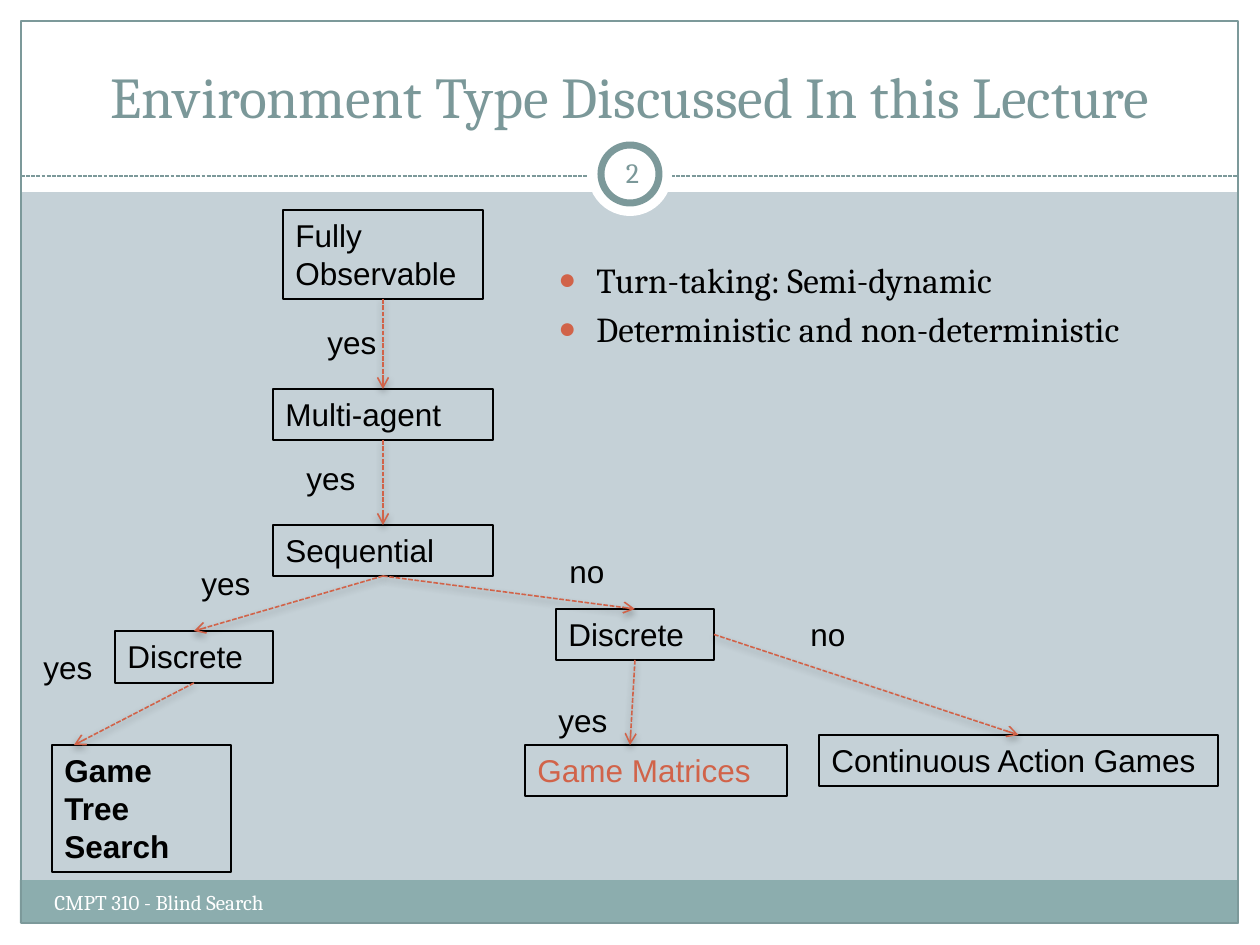
from dataclasses import dataclass

from lxml import etree
from pptx import Presentation
from pptx.dml.color import RGBColor
from pptx.enum.dml import MSO_LINE
from pptx.enum.shapes import MSO_CONNECTOR, MSO_SHAPE
from pptx.enum.text import MSO_ANCHOR, PP_ALIGN
from pptx.oxml import parse_xml
from pptx.oxml.ns import nsdecls, qn
from pptx.util import Emu, Pt

RECT, OVAL = MSO_SHAPE.RECTANGLE, MSO_SHAPE.OVAL
STRAIGHT = MSO_CONNECTOR.STRAIGHT
DASH = MSO_LINE.SQUARE_DOT
LEFT, CENTER = PP_ALIGN.LEFT, PP_ALIGN.CENTER
TOP, MIDDLE, BOTTOM = MSO_ANCHOR.TOP, MSO_ANCHOR.MIDDLE, MSO_ANCHOR.BOTTOM
TOP_SITE, BOTTOM_SITE, RIGHT_SITE = 0, 2, 3  # connection sites of a rectangle

PX_PER_INCH = 126
WIDTH, HEIGHT = 1260, 945


@dataclass(frozen=True)
class Theme:
    background: str = "C5D1D7"
    white: str = "FFFFFF"
    black: str = "000000"
    band: str = "8CADAE"
    rule: str = "7C999A"
    title: str = "7B9899"
    accent: str = "D16349"
    serif: str = "Cambria"
    sans: str = "Arial"
    title_size: int = 33
    body_size: int = 20
    node_size: int = 18
    number_size: int = 16
    footer_size: int = 12


THEME = Theme()

# key: (text, box, colour, bold)
NODES = {
    "observable": ("Fully Observable", (283, 210, 200, 89), THEME.black, False),
    "agents": ("Multi-agent", (273, 389, 220, 51), THEME.black, False),
    "sequential": ("Sequential", (273, 525, 220, 51), THEME.black, False),
    "discrete_yes": ("Discrete", (115, 631, 158, 52), THEME.black, False),
    "discrete_no": ("Discrete", (556, 609, 158, 51), THEME.black, False),
    "tree": ("Game Tree Search", (52, 745, 179, 127), THEME.black, True),
    "continuous": ("Continuous Action Games", (819, 735, 399, 51), THEME.black, False),
    "matrices": ("Game Matrices", (525, 745, 262, 51), THEME.accent, False),
}

# from, side it leaves, to, end x where the arrow misses the top centre
EDGES = [
    ("observable", BOTTOM_SITE, "agents", None),
    ("agents", BOTTOM_SITE, "sequential", None),
    ("sequential", BOTTOM_SITE, "discrete_yes", None),
    ("sequential", BOTTOM_SITE, "discrete_no", None),
    ("discrete_yes", BOTTOM_SITE, "tree", 74),
    ("discrete_no", BOTTOM_SITE, "matrices", 630),
    ("discrete_no", RIGHT_SITE, "continuous", None),
]

ANSWERS = [
    ("yes", 315, 317), ("yes", 294, 453), ("yes", 189, 558), ("yes", 31, 642),
    ("yes", 546, 695), ("no", 557, 546), ("no", 798, 609),
]


def px(n):
    return Emu(n * 914400 // PX_PER_INCH)


def rgb(color):
    return RGBColor.from_string(color)


def add_shape(s, kind, box, fill=None, line=None, weight=0.75):
    sp = s.shapes.add_shape(kind, *map(px, box))
    sp.shadow.inherit = False
    if fill:
        sp.fill.solid()
        sp.fill.fore_color.rgb = rgb(fill)
    else:
        sp.fill.background()
    if line:
        sp.line.color.rgb = rgb(line)
        sp.line.width = Pt(weight)
    else:
        sp.line.fill.background()
    return sp


def set_text(sp, text, size, color, font, align=LEFT, anchor=TOP, bold=False):
    tf = sp.text_frame
    tf.word_wrap = True
    tf.vertical_anchor = anchor
    tf.text = text
    for p in tf.paragraphs:
        p.alignment = align
        for r in p.runs:
            r.font.size = Pt(size)
            r.font.name = font
            r.font.bold = bold
            r.font.color.rgb = rgb(color)
    return tf


def add_text(s, box, text, size, color, font, **layout):
    return set_text(s.shapes.add_textbox(*map(px, box)), text, size, color, font, **layout)


def add_bullets(s, box, items):
    tf = add_text(s, box, "\n".join(items), THEME.body_size, THEME.black, THEME.serif)
    for p in tf.paragraphs:
        p.space_before = Pt(4)
        pPr = p._p.get_or_add_pPr()
        pPr.set("marL", str(px(38)))
        pPr.set("indent", str(-px(38)))
        color = etree.SubElement(pPr, qn("a:buClr"))
        etree.SubElement(color, qn("a:srgbClr"), val=THEME.accent)
        etree.SubElement(pPr, qn("a:buSzPct"), val="85000")
        etree.SubElement(pPr, qn("a:buFont"), typeface=THEME.sans)
        etree.SubElement(pPr, qn("a:buChar"), char="●")


def add_dashed_line(s, start, end, color, weight):
    line = s.shapes.add_connector(STRAIGHT, *map(px, start + end))
    line.line.color.rgb = rgb(color)
    line.line.width = Pt(weight)
    line.line.dash_style = DASH
    etree.SubElement(line._element.spPr, qn("a:effectLst"))
    return line


def add_arrow(s, source, side, target, end):
    """Glue the arrow to both nodes, or leave its head free at the point end."""
    arrow = add_dashed_line(s, (0, 0), end or (0, 0), THEME.accent, 0.9)
    arrow.begin_connect(source, side)
    if end is None:
        arrow.end_connect(target, TOP_SITE)
    etree.SubElement(arrow.line._get_or_add_ln(), qn("a:tailEnd"), type="arrow")
    arrow._element.spPr.find(qn("a:effectLst")).append(parse_xml(
        f'<a:outerShdw {nsdecls("a")} blurRad="{Pt(4)}" dist="{Pt(2)}" dir="5400000" '
        f'rotWithShape="0"><a:srgbClr val="{THEME.black}"><a:alpha val="35000"/>'
        '</a:srgbClr></a:outerShdw>'))


def add_frame(s):
    s.background.fill.solid()
    s.background.fill.fore_color.rgb = rgb(THEME.background)
    margin = 21
    for box in [(0, HEIGHT - margin, WIDTH, margin), (0, 0, WIDTH, 192),
                (0, 0, margin, HEIGHT), (WIDTH - margin, 0, margin, HEIGHT)]:
        add_shape(s, RECT, box, THEME.white)
    add_shape(s, RECT, (20, 880, 1218, 43), THEME.band)
    add_shape(s, RECT, (margin, margin, 1217, 902), line=THEME.rule)
    add_dashed_line(s, (margin, 176), (WIDTH - margin, 176), THEME.rule, 0.75)
    add_shape(s, OVAL, (588, 132, 84, 84), THEME.white)
    add_shape(s, OVAL, (601, 145, 58, 58), THEME.white, THEME.rule, 4)


def add_decision_tree(s):
    boxes = {}
    for key, (text, box, color, bold) in NODES.items():
        boxes[key] = add_shape(s, RECT, box, line=THEME.black)
        set_text(boxes[key], text, THEME.node_size, color, THEME.sans, bold=bold)
    for source, side, target, end_x in EDGES:
        end = (end_x, NODES[target][1][1]) if end_x else None
        add_arrow(s, boxes[source], side, boxes[target], end)
    for text, x, y in ANSWERS:
        width = 116 if text == "yes" else 84
        add_text(s, (x, y, width, 50), text, THEME.node_size, THEME.black, THEME.sans)


def main():
    prs = Presentation()
    prs.slide_width, prs.slide_height = px(WIDTH), px(HEIGHT)
    s = prs.slides.add_slide(prs.slide_layouts[6])
    add_frame(s)
    add_text(s, (42, 32, 1176, 104), "Environment Type Discussed In this Lecture",
             THEME.title_size, THEME.title, THEME.serif, align=CENTER, anchor=BOTTOM)
    add_bullets(s, (546, 252, 672, 189),
                ["Turn-taking: Semi-dynamic", "Deterministic and non-deterministic"])
    add_text(s, (42, 883, 494, 50), "CMPT 310 - Blind Search",
             THEME.footer_size, THEME.white, THEME.serif)
    number = add_text(s, (601, 142, 63, 60), "2", THEME.number_size, THEME.title,
                      THEME.serif, align=CENTER, anchor=MIDDLE)
    number.margin_left = number.margin_right = px(6)
    add_decision_tree(s)
    prs.save("out.pptx")


if __name__ == "__main__":
    main()
